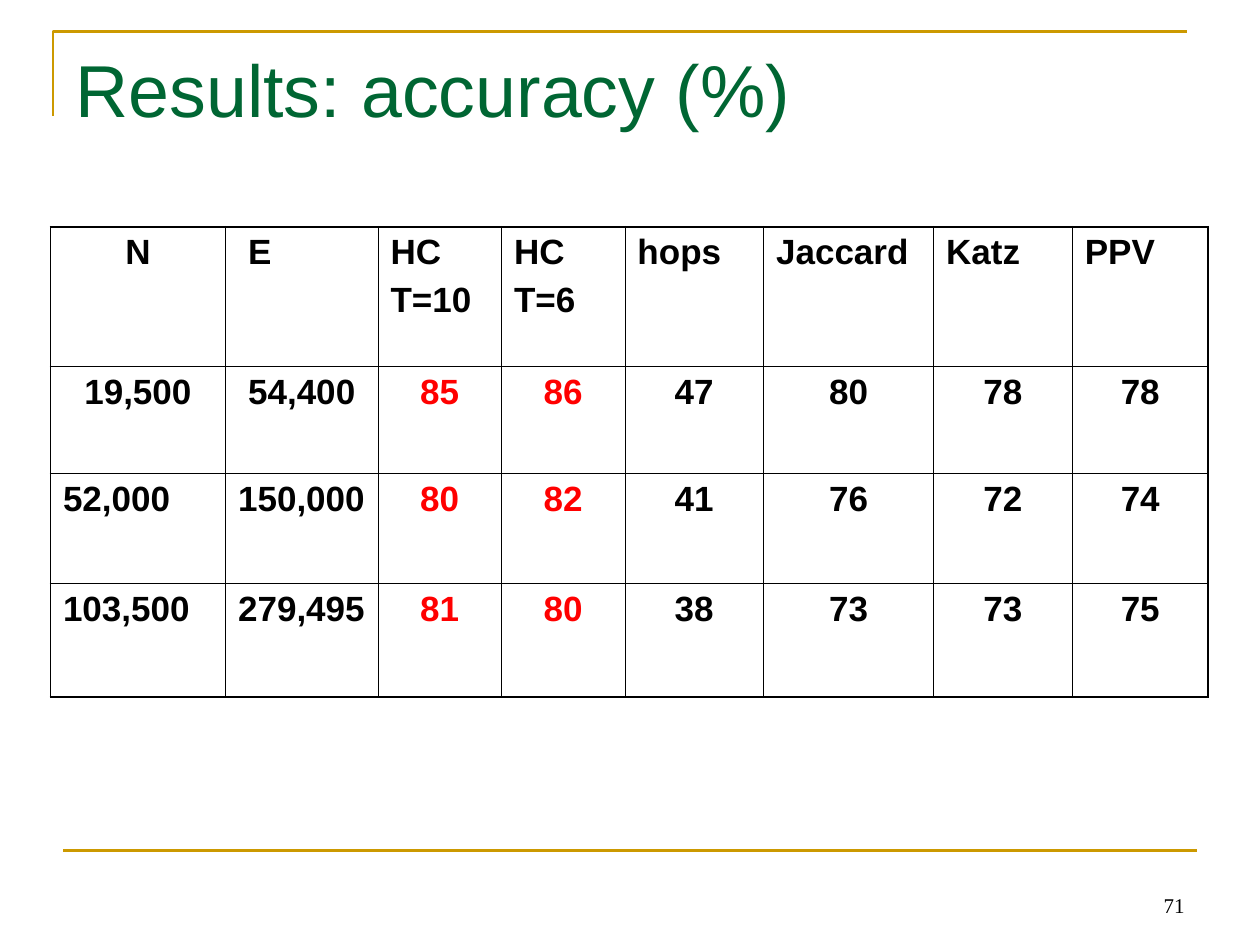
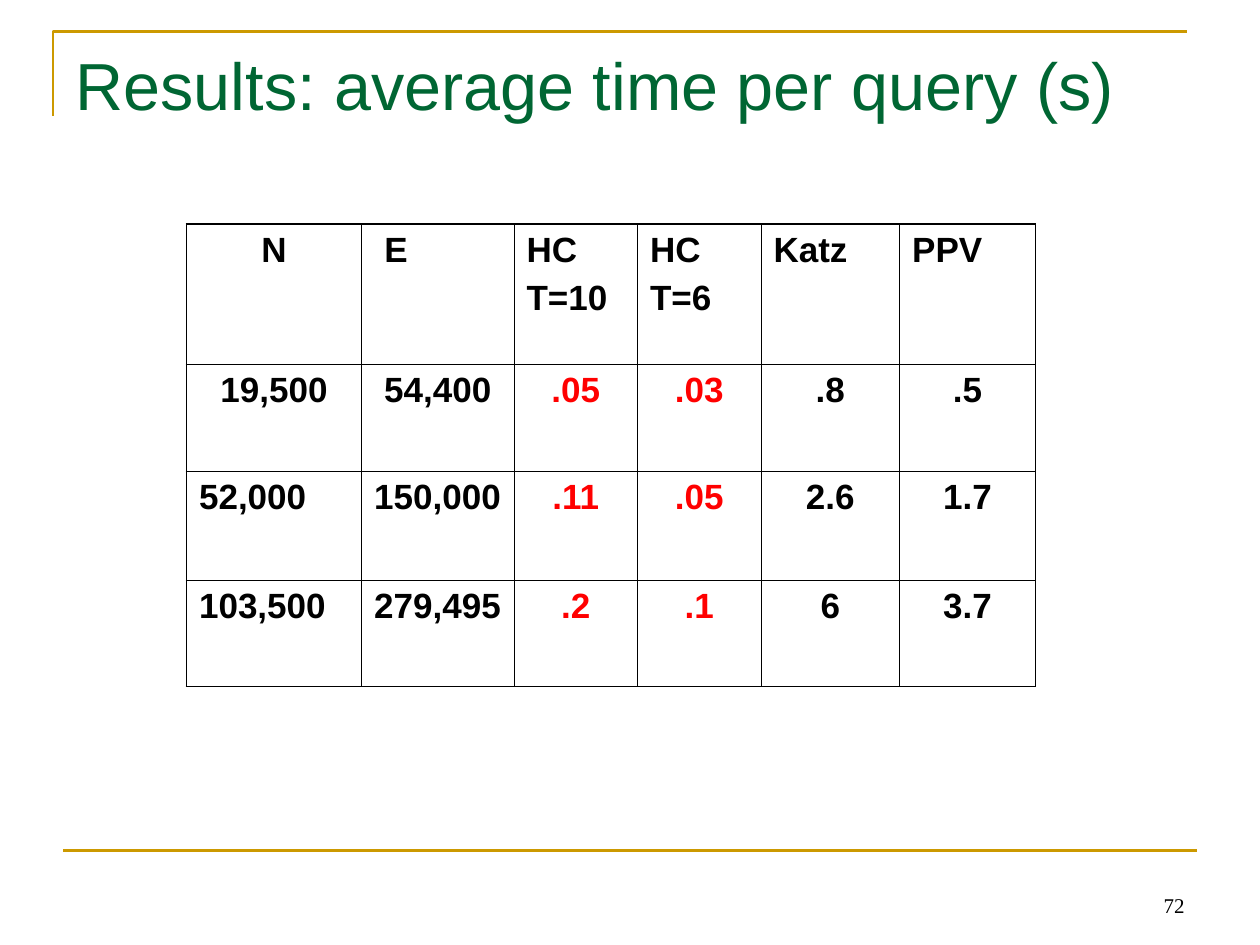
import pptx
import pptx.dml.color
import pptx.enum.shapes
import pptx.enum.text
import pptx.oxml
import pptx.oxml.ns
import pptx.util
from pptx.util import Inches

# Content
COLUMN_WIDTHS = {"N": 1.39, "E": 1.21, "HC\nT=10": 0.98, "HC\nT=6": 0.98,
                 "hops": 1.1, "Jaccard": 1.35, "Katz": 1.1, "PPV": 1.08}
SLIDES = [
    {"title": "Results: accuracy (%)", "title_size": 42, "number": "71",
     "position": (0.4, 1.8), "row_heights": (1.11, 0.85, 0.87, 0.9),
     "rows": [
         ("N", "E", "HC\nT=10", "HC\nT=6", "hops", "Jaccard", "Katz", "PPV"),
         ("19,500", "54,400", "85", "86", "47", "80", "78", "78"),
         ("52,000", "150,000", "80", "82", "41", "76", "72", "74"),
         ("103,500", "279,495", "81", "80", "38", "73", "73", "75")]},
    {"title": "Results: average time per query (s)", "title_size": 38, "number": "72",
     "position": (1.48, 1.78), "row_heights": (1.11, 0.85, 0.87, 0.84),
     "rows": [
         ("N", "E", "HC\nT=10", "HC\nT=6", "Katz", "PPV"),
         ("19,500", "54,400", ".05", ".03", ".8", ".5"),
         ("52,000", "150,000", ".11", ".05", "2.6", "1.7"),
         ("103,500", "279,495", ".2", ".1", "6", "3.7")]},
]

# Shared style
COLORS = {"rule": "CC9900", "title": "006633", "text": "000000", "highlight": "FF0000"}
RULE_WIDTH = 1.5
OUTER_BORDER, INNER_BORDER = 1.08, 0.45
ALIGN = pptx.enum.text.PP_ALIGN
ANCHOR = pptx.enum.text.MSO_ANCHOR


def rgb(name):
    return pptx.dml.color.RGBColor.from_string(COLORS[name])


def write_text(text_frame, text, size=20, color="text", font="Arial", bold=False,
               align=ALIGN.LEFT, space_before=0):
    """Fill a text frame with one paragraph per line of text."""
    for index, line in enumerate(text.split("\n")):
        paragraph = text_frame.add_paragraph() if index else text_frame.paragraphs[0]
        paragraph.alignment = align
        if index:
            paragraph.space_before = pptx.util.Pt(space_before)
        run = paragraph.add_run()
        run.text = line
        run.font.size = pptx.util.Pt(size)
        run.font.name = font
        run.font.bold = bold
        run.font.color.rgb = rgb(color)


def style_rule(line):
    line.color.rgb = rgb("rule")
    line.width = pptx.util.Pt(RULE_WIDTH)


def add_frame(slide):
    """Draw the corner bracket at the top and the rule above the footer."""
    builder = slide.shapes.build_freeform(Inches(0.42), Inches(0.92))
    builder.add_line_segments([(Inches(0.42), Inches(0.25)), (Inches(9.42), Inches(0.25))],
                              close=False)
    bracket = builder.convert_to_shape()
    bracket.shadow.inherit = False
    bracket.fill.background()
    style_rule(bracket.line)

    footer_rule = slide.shapes.add_connector(
        pptx.enum.shapes.MSO_CONNECTOR.STRAIGHT,
        Inches(0.5), Inches(6.75), Inches(9.5), Inches(6.75))
    style_rule(footer_rule.line)
    properties = footer_rule._element.spPr
    properties.append(properties.makeelement(pptx.oxml.ns.qn("a:effectLst"), {}))


def set_title(slide, text, size):
    title = slide.shapes.title
    title.left, title.top = Inches(0.5), Inches(0.3)
    title.width, title.height = Inches(9), Inches(1.25)
    title.text_frame.auto_size = pptx.enum.text.MSO_AUTO_SIZE.NONE
    title.text_frame.vertical_anchor = ANCHOR.TOP
    write_text(title.text_frame, text, size=size, color="title")


def add_slide_number(slide, number):
    box = slide.shapes.add_textbox(Inches(7.17), Inches(6.83), Inches(2.33), Inches(0.5))
    box.text_frame.word_wrap = True
    box.text_frame.vertical_anchor = ANCHOR.BOTTOM
    write_text(box.text_frame, number, size=12, font="Times New Roman", align=ALIGN.RIGHT)


def set_borders(cell, outer_sides):
    """Give all four sides a line, thicker on the table's outer edge."""
    properties = cell._tc.get_or_add_tcPr()
    for index, side in enumerate("LRTB"):
        points = OUTER_BORDER if side in outer_sides else INNER_BORDER
        properties.insert(index, pptx.oxml.parse_xml(
            f'<a:ln{side} {pptx.oxml.ns.nsdecls("a")} w="{pptx.util.Pt(points)}">'
            f'<a:solidFill><a:srgbClr val="{COLORS["text"]}"/></a:solidFill></a:ln{side}>'))


def add_results_table(slide, rows, position, row_heights):
    headers = rows[0]
    widths = [COLUMN_WIDTHS[header] for header in headers]
    left, top = position
    table = slide.shapes.add_table(
        len(rows), len(headers), Inches(left), Inches(top),
        Inches(sum(widths)), Inches(sum(row_heights))).table
    table.first_row = table.horz_banding = False
    for column, width in zip(table.columns, widths):
        column.width = Inches(width)
    for row, height in zip(table.rows, row_heights):
        row.height = Inches(height)

    last_row, last_column = len(rows) - 1, len(headers) - 1
    for r, values in enumerate(rows):
        for c, value in enumerate(values):
            cell = table.cell(r, c)
            cell.fill.background()
            edges = {"L": c == 0, "R": c == last_column, "T": r == 0, "B": r == last_row}
            set_borders(cell, [side for side, is_outer in edges.items() if is_outer])
            # Centred: the N header, the first data row and every measured value
            centered = value == "N" or r == 1 or (r > 1 and c > 1)
            highlighted = r > 0 and headers[c].startswith("HC")
            cell.margin_left = Inches(0.18 if value == "E" else 0.1)
            write_text(cell.text_frame, value, bold=True, space_before=5,
                       align=ALIGN.CENTER if centered else ALIGN.LEFT,
                       color="highlight" if highlighted else "text")


def main():
    presentation = pptx.Presentation()
    presentation.slide_width, presentation.slide_height = Inches(10), Inches(7.5)
    title_only = presentation.slide_layouts[5]
    for content in SLIDES:
        slide = presentation.slides.add_slide(title_only)
        add_frame(slide)
        set_title(slide, content["title"], content["title_size"])
        add_results_table(slide, content["rows"], content["position"], content["row_heights"])
        add_slide_number(slide, content["number"])
    presentation.save("out.pptx")


if __name__ == "__main__":
    main()
